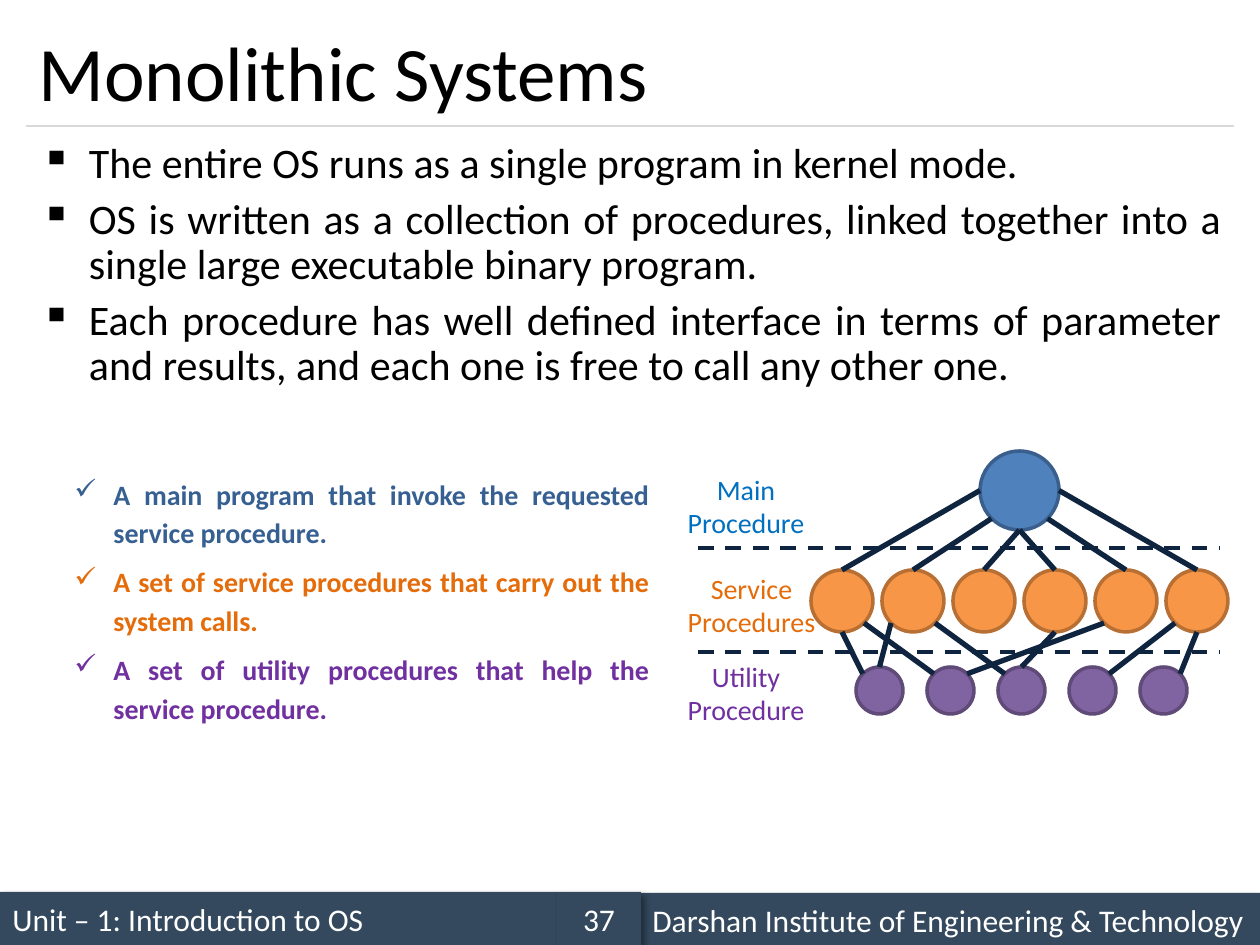
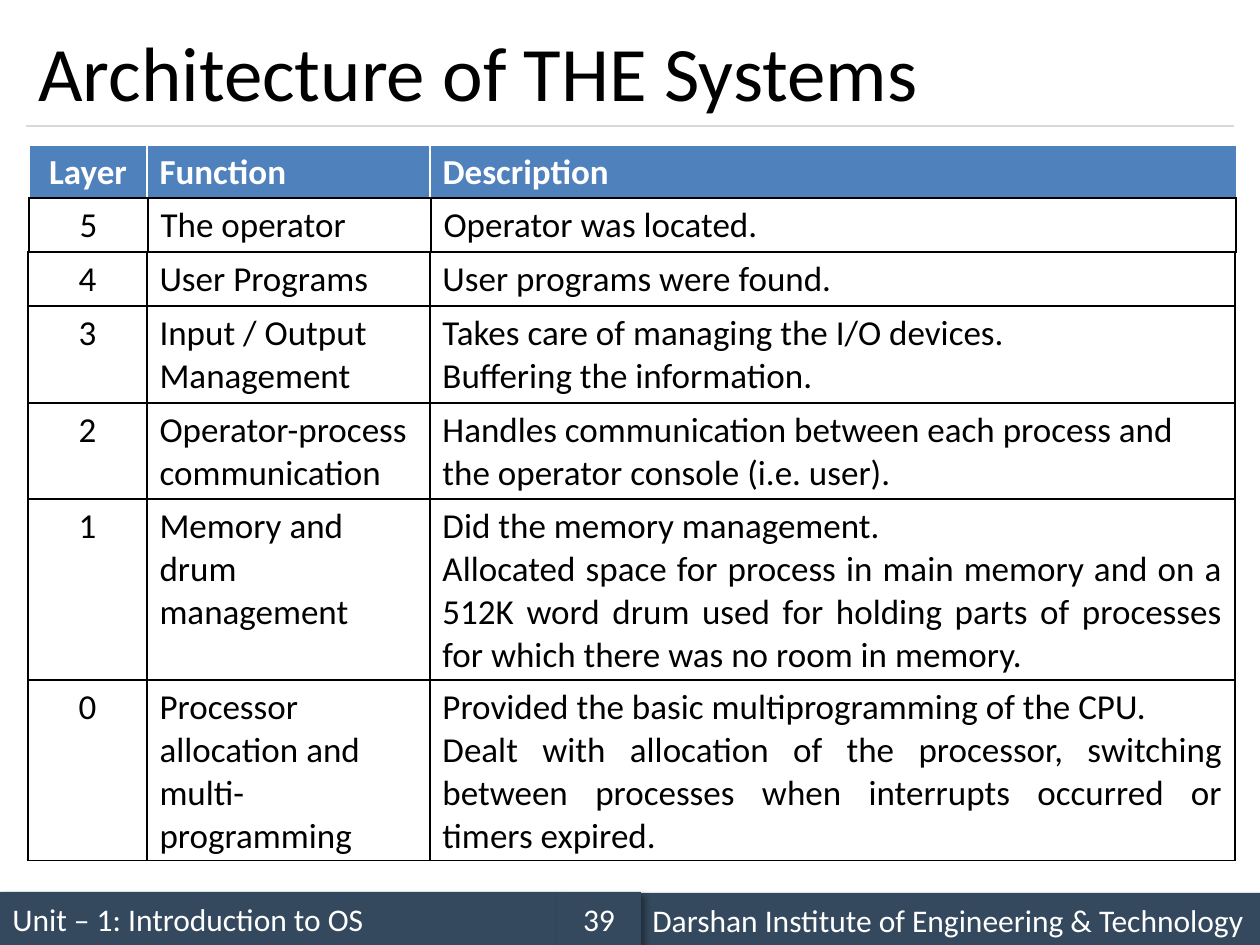
import itertools

import lxml.etree
import pptx
import pptx.dml.color
import pptx.enum.dml
import pptx.enum.shapes
import pptx.enum.text
import pptx.oxml.ns
import pptx.util

RGB = pptx.dml.color.RGBColor
WHITE = RGB(0xFF, 0xFF, 0xFF)
BLACK = RGB(0x00, 0x00, 0x00)
SLATE = RGB(0x34, 0x49, 0x5E)
RULE_GREY = RGB(0xD9, 0xD9, 0xD9)
NAVY = RGB(0x0F, 0x24, 0x3E)
BLUE = RGB(0x4F, 0x81, 0xBD)
BLUE_EDGE = RGB(0x3A, 0x5F, 0x8C)
ORANGE = RGB(0xF7, 0x96, 0x46)
ORANGE_EDGE = RGB(0xB7, 0x6F, 0x34)
PURPLE = RGB(0x80, 0x64, 0xA2)
PURPLE_EDGE = RGB(0x5F, 0x4A, 0x78)
MAIN_LABEL = RGB(0x00, 0x70, 0xC0)
MAIN_NOTE = RGB(0x37, 0x60, 0x92)
SERVICE_TEXT = RGB(0xE4, 0x6C, 0x0A)
UTILITY_TEXT = RGB(0x70, 0x30, 0xA0)

PX_PER_INCH = 126
ALIGN = pptx.enum.text.PP_ALIGN
MIDDLE = pptx.enum.text.MSO_ANCHOR.MIDDLE
SHAPES = pptx.enum.shapes.MSO_SHAPE
DASH = pptx.enum.dml.MSO_LINE.DASH

SITES = {
    "top": (0, -1), "bottom": (0, 1), "left": (-1, 0), "right": (1, 0),
    "top left": (-0.71, -0.71), "top right": (0.71, -0.71),
    "bottom left": (-0.71, 0.71), "bottom right": (0.71, 0.71),
}


def emu(px):
    return pptx.util.Emu(round(px * pptx.util.Inches(1) / PX_PER_INCH))


def add_xml(parent, tag, **attributes):
    return lxml.etree.SubElement(parent, pptx.oxml.ns.qn(tag), attributes)


def apply(target, formats):
    for name, value in formats.items():
        setattr(target, name, value)


def site(circle, name):
    left, top, size = circle
    dx, dy = SITES[name]
    return left + size / 2 * (1 + dx), top + size / 2 * (1 + dy)


class Deck:
    font = "Calibri"

    def __init__(self):
        self.show = pptx.Presentation()
        self.show.slide_width = emu(1260)
        self.show.slide_height = emu(945)
        self.slide = None

    def new_slide(self, title, number):
        self.slide = self.show.slides.add_slide(self.show.slide_layouts[6])
        self.bar(0, 892, 557, "Unit – 1: Introduction to OS")
        self.line((26, 126), (1234, 126), RULE_GREY, 0.75)
        self.bar(640, 893, 620, "Darshan Institute of Engineering & Technology")
        self.bar(557, 892, 84, number, ALIGN.CENTER)
        self.text((26, 15, 1208, 111), [title], 44, frame={"vertical_anchor": MIDDLE})

    def fill_text(self, frame, lines, size, colors=(BLACK,), bold=False,
                  paragraph=None, gap=0, bullet=None, indent=0):
        for index, (words, color) in enumerate(zip(lines, itertools.cycle(colors))):
            part = frame.add_paragraph() if index else frame.paragraphs[0]
            if bullet:
                props = part._p.get_or_add_pPr()
                props.set("marL", str(emu(indent)))
                props.set("indent", str(-emu(indent)))
                add_xml(props, "a:buChar", char=bullet)
            apply(part, paragraph or {})
            if gap and index:
                part.space_before = pptx.util.Pt(gap)
            run = part.add_run()
            run.text = words
            apply(run.font, {"name": self.font, "size": pptx.util.Pt(size), "bold": bold})
            run.font.color.rgb = color

    def text(self, box, lines, size, frame=None, **style):
        area = self.slide.shapes.add_textbox(*map(emu, box)).text_frame
        apply(area, {"word_wrap": True, **(frame or {})})
        self.fill_text(area, lines, size, **style)

    def shape(self, kind, box, fill, edge=None):
        figure = self.slide.shapes.add_shape(kind, *map(emu, box))
        figure.shadow.inherit = False
        figure.fill.solid()
        figure.fill.fore_color.rgb = fill
        if edge is None:
            figure.line.fill.background()
        else:
            figure.line.color.rgb = edge
            figure.line.width = pptx.util.Pt(2)
        return figure

    def bar(self, left, top, width, words, align=ALIGN.LEFT):
        band = self.shape(SHAPES.RECTANGLE, (left, top, width, 53), SLATE)
        effects = band._element.spPr.find(pptx.oxml.ns.qn("a:effectLst"))
        shadow = add_xml(effects, "a:outerShdw", blurRad="50800", dist="38100",
                         dir="2700000", algn="tl", rotWithShape="0")
        tint = add_xml(shadow, "a:srgbClr", val=str(BLACK))
        add_xml(tint, "a:alpha", val="40000")
        apply(band.text_frame, {"word_wrap": True, "vertical_anchor": MIDDLE})
        self.fill_text(band.text_frame, [words], 18, [WHITE],
                       paragraph={"alignment": align})

    def circles(self, circles, fill, edge):
        for left, top, size in circles:
            self.shape(SHAPES.OVAL, (left, top, size, size), fill, edge)

    def line(self, start, end, color, width, dash=None):
        link = self.slide.shapes.add_connector(
            pptx.enum.shapes.MSO_CONNECTOR.STRAIGHT, *map(emu, (*start, *end)))
        link.line.color.rgb = color
        apply(link.line, {"width": pptx.util.Pt(width), "dash_style": dash})
        add_xml(link._element.spPr, "a:effectLst")

    def table_row(self, left, top, widths, height, cells, aligns,
                  color=BLACK, fill=None, edge=BLACK, bottom=1, bold=False):
        table = self.slide.shapes.add_table(
            1, len(cells), *map(emu, (left, top, sum(widths), height))).table
        apply(table, {"first_row": False, "horz_banding": False})
        for column, width in zip(table.columns, widths):
            column.width = emu(width)
        for cell, lines, align in zip(table.rows[0].cells, cells, aligns):
            props = cell._tc.get_or_add_tcPr()
            for side, points in (("L", 1), ("R", 1), ("T", 1), ("B", bottom)):
                border = add_xml(props, f"a:ln{side}", w=str(pptx.util.Pt(points)))
                add_xml(add_xml(border, "a:solidFill"), "a:srgbClr", val=str(edge))
            if fill is None:
                cell.fill.background()
            else:
                cell.fill.solid()
                cell.fill.fore_color.rgb = fill
            self.fill_text(cell.text_frame, lines, 20, [color], bold,
                           paragraph={"alignment": align})


def monolithic_systems(deck):
    deck.new_slide("Monolithic Systems", "37")
    deck.text((26, 136, 1208, 735), [
        "The entire OS runs as a single program in kernel mode.",
        "OS is written as a collection of procedures, linked together into a "
        "single large executable binary program.",
        "Each procedure has well defined interface in terms of parameter and "
        "results, and each one is free to call any other one.",
    ], 24, frame={"margin_left": emu(15)}, gap=6, bullet="▪", indent=48,
        paragraph={"alignment": ALIGN.JUSTIFY, "line_spacing": 0.9})

    main_circle = (980, 451, 79)
    services = [(811 + 71 * i, 570, 62) for i in range(6)]
    utilities = [(856 + 71 * i, 667, 47) for i in range(5)]
    deck.circles([main_circle], BLUE, BLUE_EDGE)
    deck.circles(services, ORANGE, ORANGE_EDGE)
    deck.circles(utilities, PURPLE, PURPLE_EDGE)

    main_sites = ("left", "bottom left", "bottom", "bottom", "bottom right", "right")
    for name, service in zip(main_sites, services):
        deck.line(site(main_circle, name), site(service, "top"), NAVY, 3)
    for service, start, utility, end in (
        (0, "bottom", 0, "top left"),
        (0, "bottom right", 1, "top left"),
        (1, "bottom left", 0, "top"),
        (1, "bottom right", 2, "top left"),
        (3, "bottom", 2, "top"),
        (4, "bottom left", 1, "top right"),
        (5, "bottom left", 3, "top right"),
        (5, "bottom", 4, "top right"),
    ):
        deck.line(site(services[service], start), site(utilities[utility], end), NAVY, 3)
    for y in (548, 652):
        deck.line((698, y), (1220, y), NAVY, 2.25, DASH)

    for top, width, lines, color in (
        (466, 144, ("Main", "Procedure"), MAIN_LABEL),
        (565, 155, ("Service", "Procedures"), SERVICE_TEXT),
        (653, 144, ("Utility", "Procedure"), UTILITY_TEXT),
    ):
        deck.text((674, top, width, 81), lines, 16, frame={"word_wrap": False},
                  colors=[color], paragraph={"alignment": ALIGN.CENTER})

    deck.text((62, 466, 600, 268), [
        "A main program that invoke the requested service procedure.",
        "A set of service procedures that carry out the system calls.",
        "A set of utility procedures that help the service procedure.",
    ], 16, colors=(MAIN_NOTE, SERVICE_TEXT, UTILITY_TEXT), bold=True, gap=3,
        bullet="✓", indent=39,
        paragraph={"alignment": ALIGN.JUSTIFY, "line_spacing": 1.15,
                   "space_after": pptx.util.Pt(3)})


def the_architecture(deck):
    deck.new_slide("Architecture of THE Systems", "39")
    plain = (ALIGN.CENTER, ALIGN.LEFT, ALIGN.LEFT)
    justified = (ALIGN.CENTER, ALIGN.LEFT, ALIGN.JUSTIFY)
    deck.table_row(29, 145, (118, 283, 807), 53,
                   (["Layer"], ["Function"], ["Description"]), plain,
                   color=WHITE, fill=BLUE, edge=WHITE, bottom=3, bold=True)
    top = 198
    for left, height, aligns, layer, function, description in (
        (29, 54, plain, "5", "The operator", ["Operator was located."]),
        (28, 54, plain, "4", "User Programs", ["User programs were found."]),
        (28, 97, plain, "3", "Input / Output Management",
         ["Takes care of managing the I/O devices.", "Buffering the information."]),
        (28, 96, plain, "2", "Operator-process communication",
         ["Handles communication between each process and the operator console "
          "(i.e. user)."]),
        (28, 181, justified, "1", "Memory and drum management",
         ["Did the memory management.",
          "Allocated space for process in main memory and on a 512K word drum used "
          "for holding parts of processes for which there was no room in memory."]),
        (28, 180, justified, "0", "Processor allocation and multi-programming",
         ["Provided the basic multiprogramming of the CPU.",
          "Dealt with allocation of the processor, switching between processes when "
          "interrupts occurred or timers expired."]),
    ):
        deck.table_row(left, top, (119, 283, 805), height,
                       ([layer], [function], description), aligns)
        top += height


def main():
    deck = Deck()
    monolithic_systems(deck)
    the_architecture(deck)
    deck.show.save("out.pptx")


if __name__ == "__main__":
    main()
